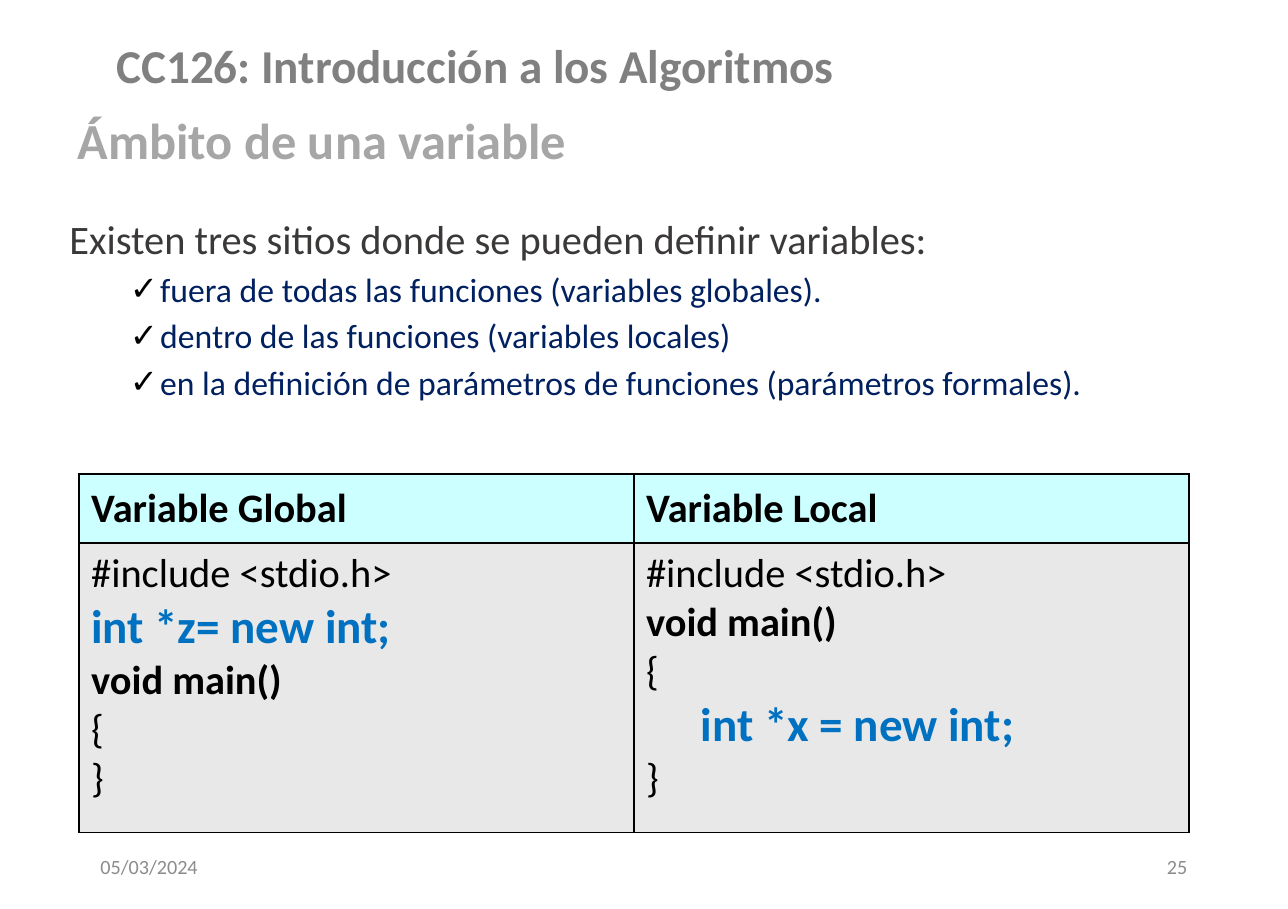
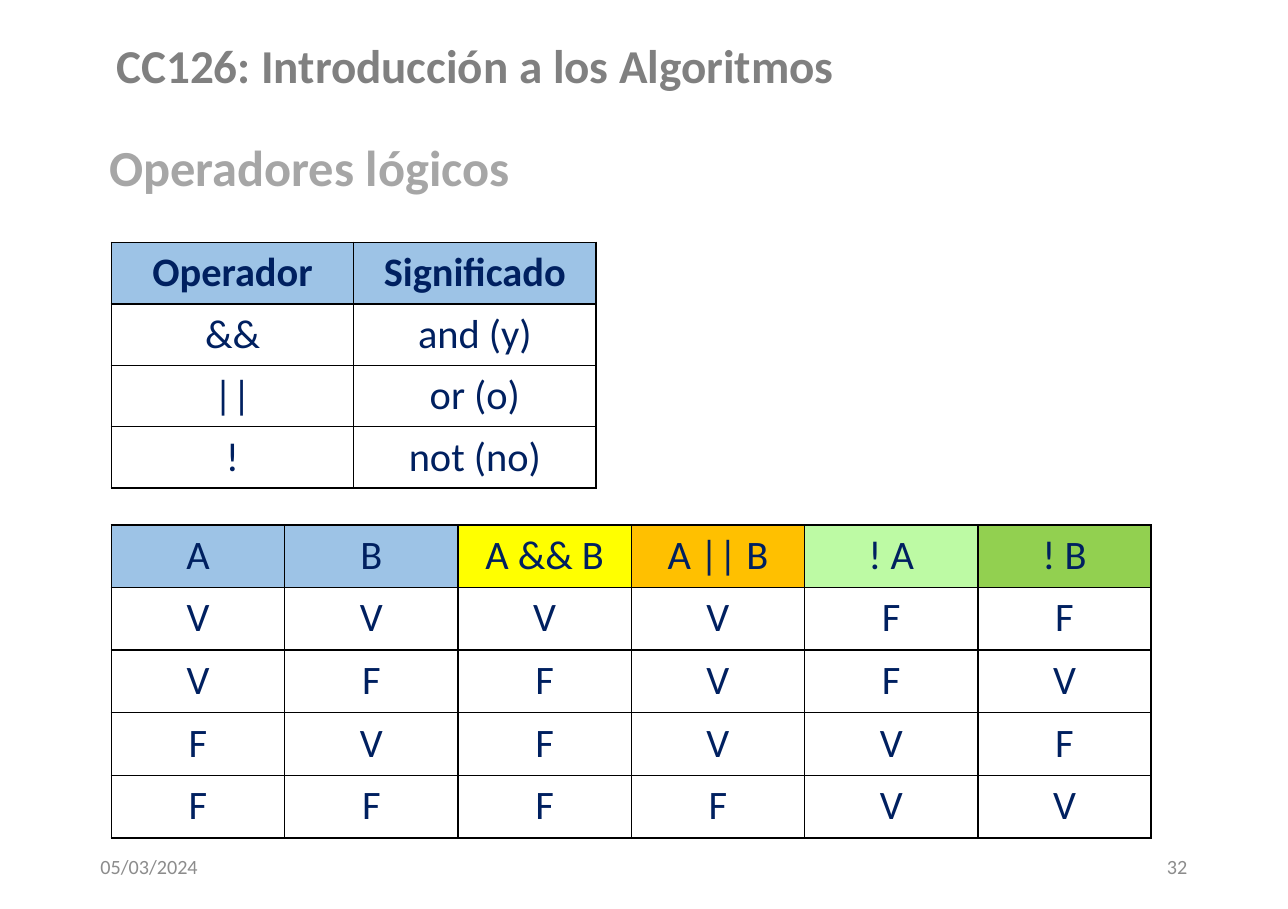
from lxml import etree
from pptx import Presentation
from pptx.dml.color import RGBColor
from pptx.enum import text
from pptx.oxml import ns
from pptx.util import Pt


class Theme:
    font = "Calibri"
    course, heading, body, footer = "808080", "A6A6A6", "3B3838", "8C8C8C"
    ink, navy, code = "000000", "002060", "0070C0"
    cyan, grey, blue = "CCFFFF", "E8E8E8", "9DC3E6"
    yellow, orange, mint, green = "FFFF00", "FFC000", "BDFAA4", "92D050"
    huge, large, medium, small, tiny = 30, 28, 24, 20, 12


LOOKS = {
    "course": dict(size=Theme.large, color=Theme.course, bold=True),
    "heading": dict(size=Theme.huge, color=Theme.heading, bold=True),
    "intro": dict(size=Theme.medium, color=Theme.body, bold=False),
    "item": dict(size=Theme.small, color=Theme.navy, bold=False),
    "footer": dict(size=Theme.tiny, color=Theme.footer, bold=False),
    "plain": dict(size=Theme.medium, color=Theme.ink, bold=False),
    "strong": dict(size=Theme.medium, color=Theme.ink, bold=True),
    "accent": dict(size=Theme.large, color=Theme.code, bold=True),
    "value": dict(size=Theme.medium, color=Theme.navy, bold=False),
    "label": dict(size=Theme.medium, color=Theme.navy, bold=True),
}
ALIGN = text.PP_ALIGN
ANCHOR = text.MSO_ANCHOR


def write(paragraph, words, look, margin=0, indent=0, **layout):
    """Fill one paragraph with a run in the given look."""
    for name, value in layout.items():
        setattr(paragraph, name, value)
    props = paragraph._p.get_or_add_pPr()
    props.set("marL", str(Pt(margin)))
    props.set("indent", str(Pt(indent)))
    font_format = dict(LOOKS[look], name=Theme.font)
    run = paragraph.add_run()
    run.text = words
    run.font.color.rgb = RGBColor.from_string(font_format.pop("color"))
    font_format["size"] = Pt(font_format["size"])
    for name, value in font_format.items():
        setattr(run.font, name, value)


def add_grid(slide, left, top, width, heights, cells, fills, align, anchors):
    """Add a bordered table; a cell is a list of (words, look, margin)."""
    columns = len(cells[0])
    grid = slide.shapes.add_table(len(cells), columns, Pt(left), Pt(top),
                                  Pt(width), Pt(sum(heights))).table
    grid.first_row = grid.horz_banding = False
    for column in grid.columns:
        column.width = Pt(width / columns)
    for r, row in enumerate(cells):
        grid.rows[r].height = Pt(heights[r])
        for c, lines in enumerate(row):
            cell = grid.cell(r, c)
            cell.vertical_anchor = anchors[r]
            if fills[r][c]:
                cell.fill.solid()
                cell.fill.fore_color.rgb = RGBColor.from_string(fills[r][c])
            else:
                cell.fill.background()
            for n, (words, look, margin) in enumerate(lines):
                frame = cell.text_frame
                paragraph = frame.add_paragraph() if n else frame.paragraphs[0]
                write(paragraph, words, look, margin, alignment=align)
            # Cell borders come before the fill
            props = cell._tc.get_or_add_tcPr()
            for n, side in enumerate(("a:lnL", "a:lnR", "a:lnT", "a:lnB")):
                border = etree.Element(ns.qn(side), w=str(Pt(1)))
                paint = etree.SubElement(border, ns.qn("a:solidFill"))
                etree.SubElement(paint, ns.qn("a:srgbClr"), val=Theme.ink)
                props.insert(n, border)


prs = Presentation()
prs.slide_width, prs.slide_height = Pt(765.4), Pt(540)
scope = prs.slides.add_slide(prs.slide_layouts[1])
logic = prs.slides.add_slide(prs.slide_layouts[5])

# Course name, held by the slide master
course = scope.shapes.add_textbox(Pt(40.3), Pt(8), Pt(484), Pt(61))
course.text_frame.word_wrap = True
course.text_frame.vertical_anchor = ANCHOR.MIDDLE
write(course.text_frame.paragraphs[0], "CC126: Introducción a los Algoritmos",
      "course", alignment=ALIGN.CENTER)
course.element.xpath(".//p:cNvPr")[0].set("id", "20")
prs.slide_master.shapes.element.append(course.element)

# Headings and footers
for slide, words, left, top, width, number in (
        (scope, "Ámbito de una variable", 34, 65.5, 407, "25"),
        (logic, "Operadores lógicos", 52.6, 81.4, 613, "32")):
    heading = slide.shapes.title
    heading.left, heading.top = Pt(left), Pt(top)
    heading.width, heading.height = Pt(width), Pt(60.5)
    heading.text_frame.auto_size = text.MSO_AUTO_SIZE.NONE
    heading.text_frame.vertical_anchor = ANCHOR.TOP
    write(heading.text_frame.paragraphs[0], words, "heading", margin=5,
          alignment=ALIGN.LEFT, line_spacing=0.9)
    for note, note_left, align in (("05/03/2024", 52.6, ALIGN.LEFT),
                                   (number, 540.7, ALIGN.RIGHT)):
        footer = slide.shapes.add_textbox(Pt(note_left), Pt(500.4),
                                          Pt(172), Pt(28.8))
        footer.text_frame.word_wrap = True
        footer.text_frame.vertical_anchor = ANCHOR.MIDDLE
        write(footer.text_frame.paragraphs[0], note, "footer", alignment=align)

# Scope: places where variables are defined
places = scope.placeholders[1]
places.left, places.top = Pt(34), Pt(126)
places.width, places.height = Pt(639), Pt(117.4)
places.text_frame.auto_size = text.MSO_AUTO_SIZE.NONE
places.text_frame.vertical_anchor = ANCHOR.MIDDLE
intro = places.text_frame.paragraphs[0]
write(intro, "Existen tres sitios donde se pueden definir variables:", "intro",
      alignment=ALIGN.JUSTIFY, line_spacing=0.9, space_before=Pt(0))
etree.SubElement(intro._p.pPr, ns.qn("a:buNone"))
for words in ("fuera de todas las funciones (variables globales).",
              "dentro de las funciones (variables locales)",
              "en la definición de parámetros de funciones (parámetros formales)."):
    place = places.text_frame.add_paragraph()
    write(place, words, "item", margin=54, indent=-18, level=1,
          alignment=ALIGN.JUSTIFY, line_spacing=0.9, space_before=Pt(6))
    bullet_color = etree.SubElement(place._p.pPr, ns.qn("a:buClr"))
    etree.SubElement(bullet_color, ns.qn("a:srgbClr"), val=Theme.ink)
    etree.SubElement(place._p.pPr, ns.qn("a:buChar"), char="✓")

# Scope: global and local code side by side
include = ("#include <stdio.h>", "plain", 0)
main_line = ("void main()", "strong", 0)
opening, closing = ("{", "plain", 0), ("}", "plain", 0)
code_cells = [
    [[("Variable Global", "strong", 0)], [("Variable Local", "strong", 0)]],
    [[include, ("int *z= new int;", "accent", 0), main_line, opening, closing],
     [include, main_line, opening, ("int *x = new int;", "accent", 32.5), closing]],
]
add_grid(scope, 47, 281.5, 659.6, [41, 172], code_cells,
         [[Theme.cyan] * 2, [Theme.grey] * 2], ALIGN.LEFT,
         [ANCHOR.MIDDLE, ANCHOR.TOP])

# Logic: operators and their truth table
operators = [["Operador", "Significado"], ["&&", "and (y)"],
             ["||", "or (o)"], ["!", "not (no)"]]
truth = [["A", "B", "A && B", "A || B", "! A", "! B"],
         *map(list, ("VVVVFF", "VFFVFV", "FVFVVF", "FFFFVV"))]
truth_fills = [Theme.blue, Theme.blue, Theme.yellow, Theme.orange,
               Theme.mint, Theme.green]
for rows, top, width, height, head_look, head_fills in (
        (operators, 144, 288, 36.5, "label", [Theme.blue] * 2),
        (truth, 311.8, 618, 37.2, "value", truth_fills)):
    cells = [[[(words, "value" if r else head_look, 0)] for words in row]
             for r, row in enumerate(rows)]
    fills = [head_fills] + [[None] * len(head_fills)] * (len(rows) - 1)
    add_grid(logic, 66.2, top, width, [height] * len(rows), cells, fills,
             ALIGN.CENTER, [ANCHOR.TOP] * len(rows))

prs.save("out.pptx")
